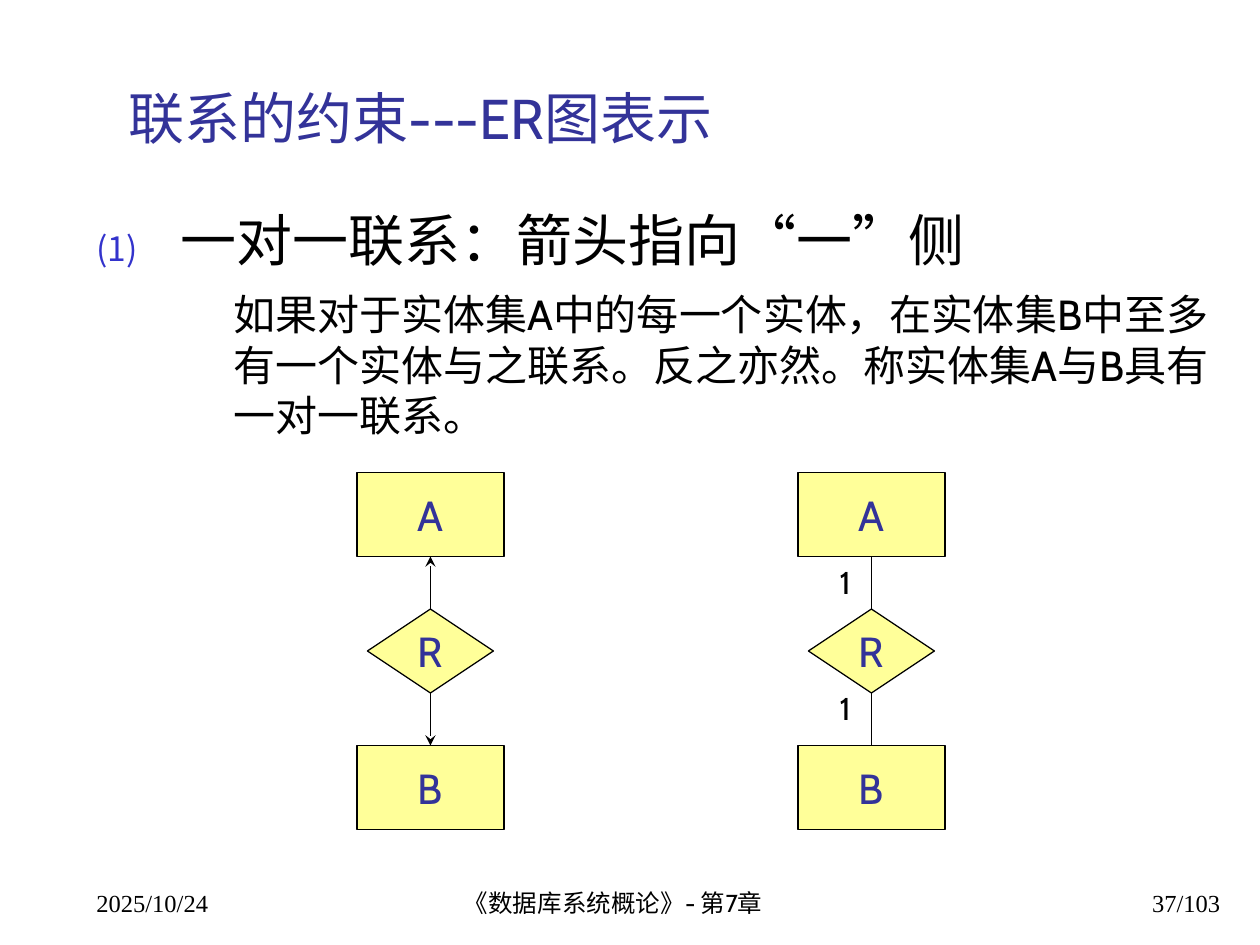
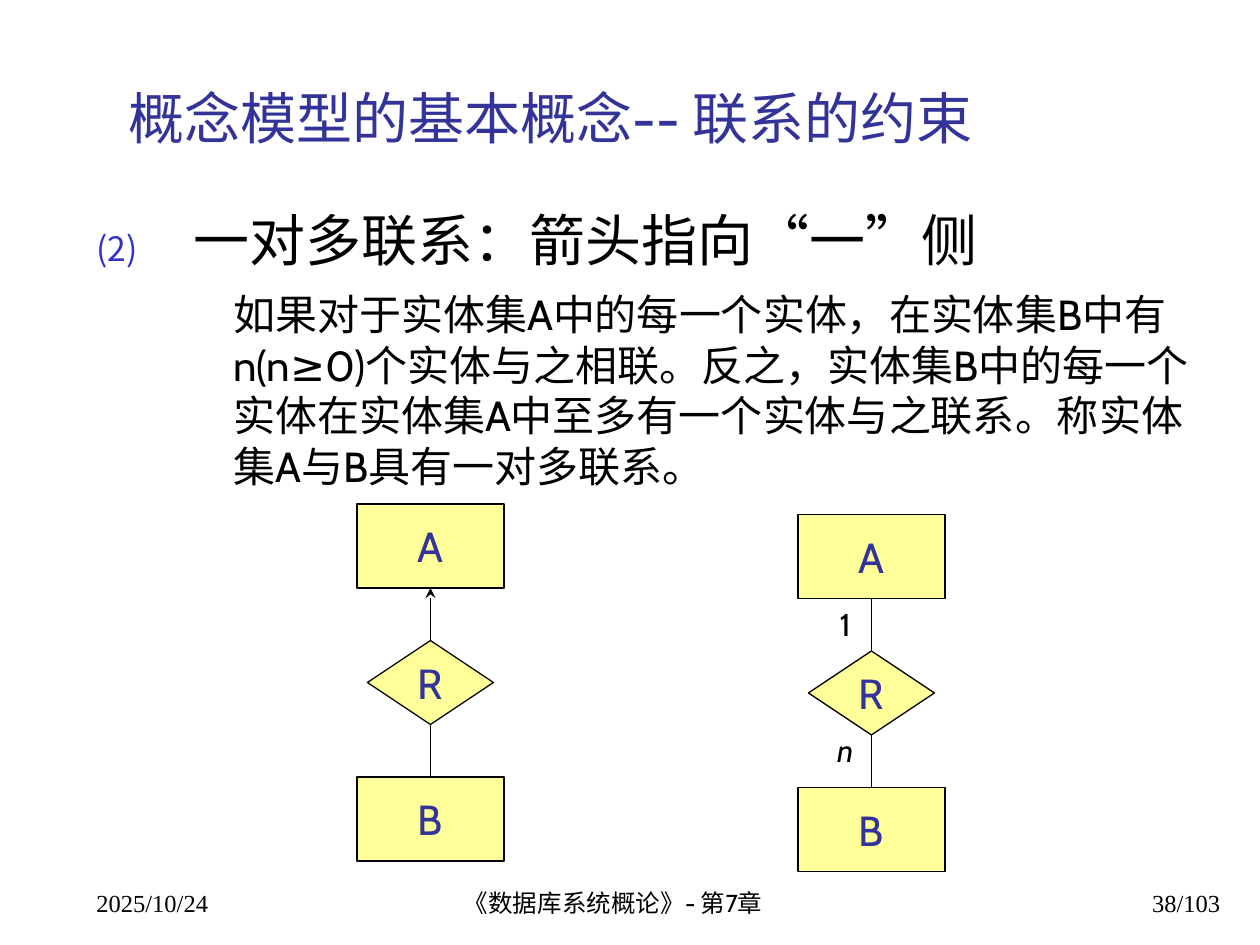
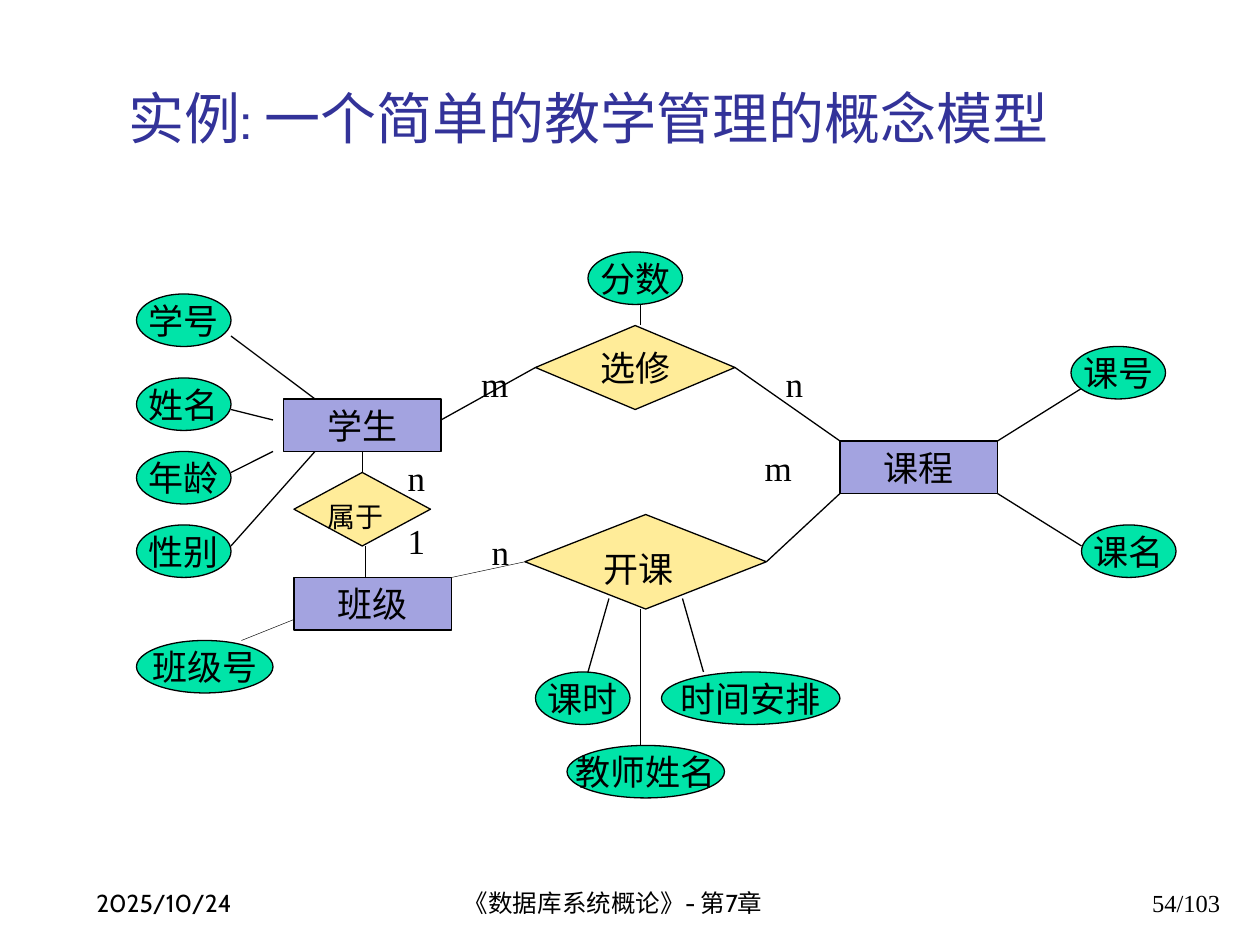
import pptx
import pptx.dml.color
import pptx.enum.shapes
import pptx.enum.text
import pptx.oxml.ns
import pptx.util
from lxml import etree

RGB = pptx.dml.color.RGBColor
SHAPE = pptx.enum.shapes.MSO_SHAPE
ALIGN = pptx.enum.text.PP_ALIGN
ANCHOR = pptx.enum.text.MSO_ANCHOR
Cm, Pt = pptx.util.Cm, pptx.util.Pt
qn = pptx.oxml.ns.qn

# Shared style
BLACK = RGB(0x00, 0x00, 0x00)
NAVY = RGB(0x33, 0x33, 0x99)
BLUE = RGB(0x33, 0x33, 0xCC)
YELLOW = RGB(0xFF, 0xFF, 0x99)
LILAC = RGB(0xA3, 0xA3, 0xE0)
GREEN = RGB(0x00, 0xE4, 0xA8)
SAND = RGB(0xFF, 0xEC, 0x99)
SANS, SERIF = "Cabin", "Times New Roman"
DATE, BOOK, TOTAL = "2025/10/24", "《数据库系统概论》- 第7章", 103

# Places are in grid steps of a twelfth of an inch
STEP = 2.54 / 12

# Slides on one kind of link; a chart is left, top, arrow ends, labels
LINKS = [
    dict(title="联系的约束---ER图表示", page=37, num=1, indent=8,
         head="一对一联系：箭头指向“一”侧",
         text="如果对于实体集A中的每一个实体，在实体集B中至多有一个实体与之联系。"
              "反之亦然。称实体集A与B具有一对一联系。",
         charts=[(34, 45, "AB", ""), (76, 45, "", "11")]),
    dict(title="概念模型的基本概念-- 联系的约束", page=38, num=2, indent=9.2,
         head="一对多联系：箭头指向“一”侧",
         text="如果对于实体集A中的每一个实体，在实体集B中有n(n≥0)个实体与之相联。"
              "反之，实体集B中的每一个实体在实体集A中至多有一个实体与之联系。"
              "称实体集A与B具有一对多联系。",
         charts=[(34, 48, "A", ""), (76, 49, "", "1n")]),
]

# Teaching model: text, left, top (and width, height)
MODEL = "实例: 一个简单的教学管理的概念模型"
ENTS = [("学生", 27, 38), ("课程", 80, 42), ("班级", 28, 55)]
ATTRS = [
    ("学号", 13, 28, 9), ("姓名", 13, 36, 9), ("年龄", 13, 43, 9),
    ("性别", 13, 50, 9), ("分数", 56, 24, 9), ("课号", 102, 33, 9),
    ("课名", 103, 50, 9), ("教师姓名", 54, 71, 15), ("课时", 51, 64, 9),
    ("时间安排", 63, 64, 17), ("班级号", 13, 61, 13),
]
RELS = [
    ("选修", SHAPE.FLOWCHART_DECISION, 51, 31, 19, 8, 20, False),
    ("开课", SHAPE.DIAMOND, 50, 49, 23, 9, 20, True),
    ("属于", SHAPE.DIAMOND, 28, 45, 13, 7, 16, True),
]
MARKS = [("m", 45, 35), ("n", 74, 35), ("m", 72, 43),
         ("n", 46, 51), ("n", 38, 44), ("1", 38, 50)]
LINES = [
    (42, 40, 51, 35), (30, 38, 22, 32), (22, 39, 26, 40), (22, 45, 26, 43),
    (30, 43, 22, 52), (61, 29, 61, 31), (95, 42, 103, 37), (95, 47, 103, 52),
    (61, 58, 61, 71), (58, 57, 56, 64), (65, 57, 67, 64), (70, 35, 80, 42),
    (73, 53.5, 80, 47),
]
THIN = [(43, 55, 50, 53.5), (34.5, 43, 34.5, 45),
        (34.8, 52, 34.8, 55), (23, 61, 28, 59)]


def grid(*steps):
    return [Cm(n * STEP) for n in steps]


def style(par, size, face, color=BLACK, align=ALIGN.LEFT):
    par.alignment = align
    par.font.size, par.font.name = Pt(size), face
    par.font.color.rgb = color


def write(shape, text, size, face, color=BLACK, align=ALIGN.CENTER,
          anchor=ANCHOR.MIDDLE, wrap=False):
    frame = shape.text_frame
    frame.word_wrap, frame.vertical_anchor = wrap, anchor
    frame.text = text
    style(frame.paragraphs[0], size, face, color, align)
    return frame


def node(slide, kind, box, fill, text, size, face, color=BLACK):
    shape = slide.shapes.add_shape(kind, *grid(*box))
    shape.shadow.inherit = False
    shape.fill.solid()
    shape.fill.fore_color.rgb = fill
    shape.line.color.rgb, shape.line.width = BLACK, Pt(0.75)
    return write(shape, text, size, face, color)


def label(slide, box, *args, **opts):
    return write(slide.shapes.add_textbox(*grid(*box)), *args, **opts)


def link(slide, ends, width=0.75, arrow=False):
    line = slide.shapes.add_connector(
        pptx.enum.shapes.MSO_CONNECTOR.STRAIGHT, *grid(*ends))
    line.line.color.rgb, line.line.width = BLACK, Pt(width)
    if arrow:
        etree.SubElement(line.line._get_or_add_ln(), qn("a:tailEnd"), type="stealth")
    etree.SubElement(line._element.spPr, qn("a:effectLst"))


def place(shape, *box):
    shape.left, shape.top, shape.width, shape.height = grid(*box)
    shape.text_frame.auto_size = pptx.enum.text.MSO_AUTO_SIZE.NONE


def start(deck, layout, title, page, face=SERIF):
    """Add a slide with its title and footer."""
    slide = deck.slides.add_slide(deck.slide_layouts[layout])
    for old in list(slide.placeholders):
        if old.placeholder_format.idx > 1:
            old._element.getparent().remove(old._element)
    place(slide.shapes.title, 11, 5, 106.3, 10)
    write(slide.shapes.title, title, 32, SANS, NAVY, ALIGN.LEFT, ANCHOR.BOTTOM, True)
    foot = [(8, 25, DATE, face, ALIGN.LEFT), (43, 38, BOOK, SANS, ALIGN.LEFT),
            (92.4, 25, f"{page}/{TOTAL}", SERIF, ALIGN.RIGHT)]
    for left, width, text, font, align in foot:
        label(slide, (left, 82, width, 6), text, 14, font, align=align,
              anchor=ANCHOR.BOTTOM, wrap=True)
    return slide


def indent(par, left, first):
    props = par._p.get_or_add_pPr()
    props.set("marL", str(Cm(left * STEP)))
    props.set("indent", str(Cm(first * STEP)))
    return props


def body(slide, item):
    """Numbered heading with an indented definition below."""
    shape = slide.placeholders[1]
    place(shape, 8, 19, 109.5, 61.5)
    frame = shape.text_frame
    frame.word_wrap = True
    head, text = frame.paragraphs[0], frame.add_paragraph()
    head.text, text.text = item["head"], item["text"]
    text.level = 1
    props = indent(head, item["indent"], -item["indent"])
    tint = etree.SubElement(props, qn("a:buClr"))
    etree.SubElement(tint, qn("a:srgbClr"), val=str(BLUE))
    etree.SubElement(props, qn("a:buSzPct"), val="60000")
    etree.SubElement(props, qn("a:buAutoNum"), type="arabicParenBoth",
                     startAt=str(item["num"]))
    etree.SubElement(indent(text, 13, 0), qn("a:buNone"))
    head.space_before, text.space_before = Pt(0), Pt(9)
    style(head, 32, SANS)
    style(text, 24, SANS)


def chart(slide, left, top, arrows, labels):
    """Entity A above link R above entity B."""
    parts = [("A", SHAPE.RECTANGLE, 0, 0, 14),
             ("R", SHAPE.FLOWCHART_DECISION, 1, 13, 12),
             ("B", SHAPE.RECTANGLE, 0, 26, 14)]
    for text, kind, right, down, width in parts:
        node(slide, kind, (left + right, top + down, width, 8), YELLOW,
             text, 24, SANS, NAVY)
    mid = left + 7
    for name, tail, tip in [("A", 13, 8), ("B", 21, 26)]:
        link(slide, (mid, top + tail, mid, top + tip), arrow=name in arrows)
    for text, down in zip(labels, (8, 20)):
        frame = label(slide, (left + 1, top + down, 7, 4.8), text, 18, SANS,
                      anchor=ANCHOR.TOP, wrap=True)
        frame.paragraphs[0].font.italic = text.isalpha()


def model(slide):
    for width, ends in [(0.75, LINES), (0.25, THIN)]:
        for line in ends:
            link(slide, line, width)
    for text, left, top in ENTS:
        node(slide, SHAPE.RECTANGLE, (left, top, 15, 5), LILAC, text, 20, SERIF)
    for text, left, top, width in ATTRS:
        node(slide, SHAPE.OVAL, (left, top, width, 5), GREEN, text, 20, SERIF)
    for text, kind, left, top, width, height, size, low in RELS:
        frame = node(slide, kind, (left, top, width, height), SAND, text, size, SERIF)
        if low:
            frame.margin_right, frame.margin_top = Cm(0.53), Cm(0.4)
    for text, left, top in MARKS:
        label(slide, (left, top, 2, 3), text, 20, SERIF)


def main():
    deck = pptx.Presentation()
    deck.slide_width, deck.slide_height = Cm(25.4), Cm(19.05)
    for item in LINKS:
        slide = start(deck, 1, item["title"], item["page"])
        body(slide, item)
        for spot in item["charts"]:
            chart(slide, *spot)
    model(start(deck, 5, MODEL, 54, SANS))
    deck.save("out.pptx")


if __name__ == "__main__":
    main()
